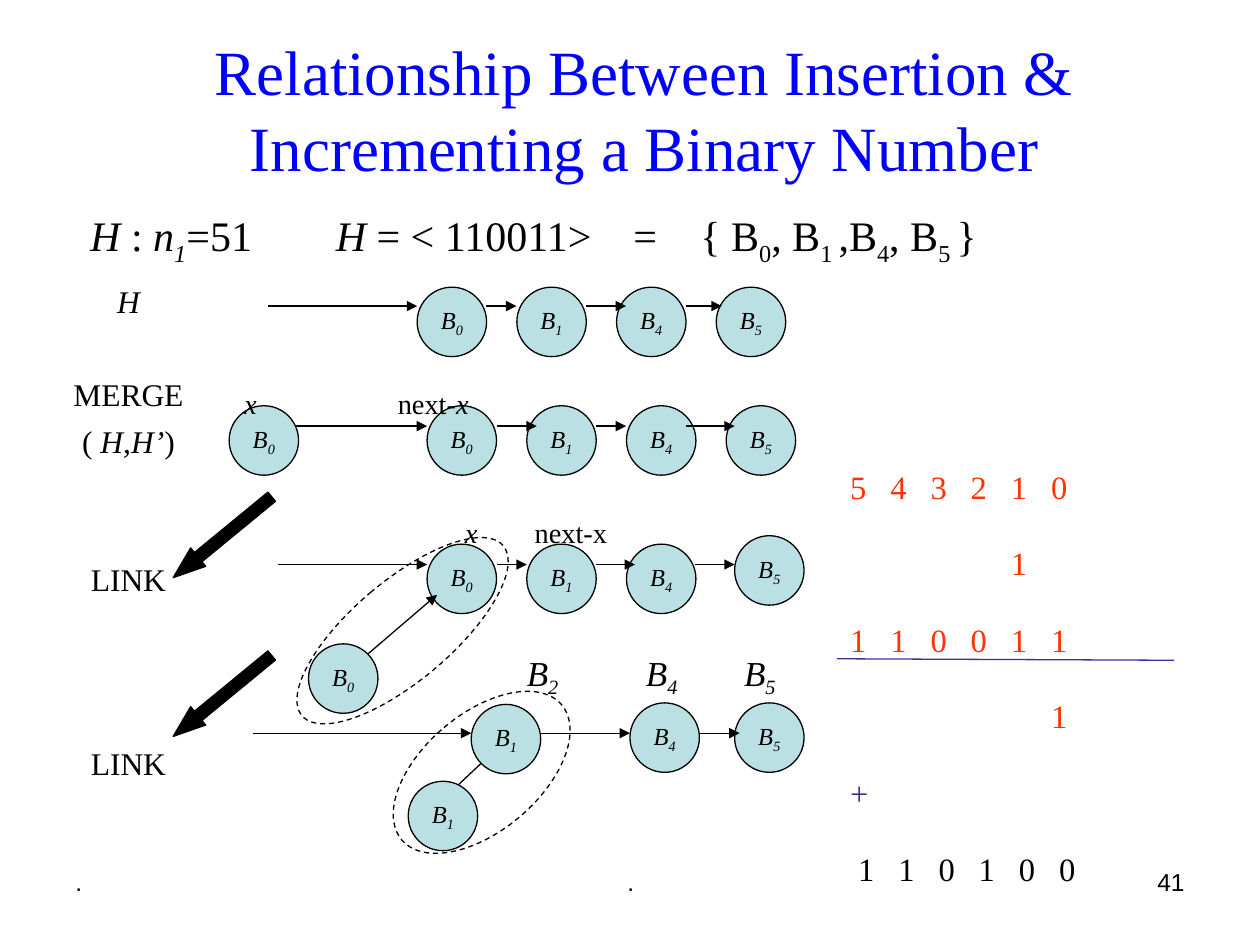
from lxml.etree import SubElement
from pptx import Presentation
from pptx.dml.color import RGBColor
from pptx.enum.dml import MSO_LINE as Dash
from pptx.enum.shapes import MSO_CONNECTOR as Conn, MSO_SHAPE as Shape
from pptx.enum.text import MSO_ANCHOR as Anchor, PP_ALIGN as Align
from pptx.oxml.ns import qn
from pptx.util import Cm, Pt

BLACK = RGBColor(0x00, 0x00, 0x00)
BLUE = RGBColor(0x00, 0x00, 0xFF)
RED = RGBColor(0xFF, 0x33, 0x00)
NAVY = RGBColor(0x33, 0x33, 0x99)
TEAL = RGBColor(0xBB, 0xE0, 0xE3)
SERIF, SANS = "Times New Roman", "Arial"
NODE = 1.4
STEP = 0.81

deck = Presentation()
deck.slide_width, deck.slide_height = Cm(25.4), Cm(19.05)
slide = deck.slides.add_slide(deck.slide_layouts[6])
shapes = slide.shapes


def write(para, runs, size, color=BLACK, face=SERIF, tabs=()):
    """Add (text, marks) runs; mark i is italic, mark s is subscript."""
    if tabs:
        stops = SubElement(para._p.get_or_add_pPr(), qn("a:tabLst"))
        for stop in tabs:
            SubElement(stops, qn("a:tab"), pos=str(Cm(stop)), algn="l")
    for text, marks in runs:
        run = para.add_run()
        run.text = text
        look = {"name": face, "size": Pt(size), "italic": "i" in marks}
        for key, value in look.items():
            setattr(run.font, key, value)
        run.font.color.rgb = color
        if "s" in marks:
            run._r.get_or_add_rPr().set("baseline", "-25000")


def link(x1, y1, x2, y2, color=BLACK, head=True):
    line = shapes.add_connector(Conn.STRAIGHT, Cm(x1), Cm(y1), Cm(x2), Cm(y2))
    line.line.color.rgb = color
    line.line.width = Pt(0.75)
    if head:
        SubElement(line.line._get_or_add_ln(), qn("a:tailEnd"), type="triangle")
    SubElement(line._element.spPr, qn("a:effectLst"))


# Lines that run behind the nodes
link(9.07, 15.98, 9.91, 15.19, head=False)
link(5.61, 8.59, 8.61, 8.59)

# Tree nodes: left, top, order of the binomial tree
nodes = [(left + 2.01 * i, top, order)
         for left, top in ((8.41, 5.79), (8.61, 8.18), (8.61, 10.97))
         for i, order in enumerate("0145")
         if (top, order) != (10.97, "5")]
nodes += [(14.81, 10.8, "5"), (14.81, 14.17, "5"), (12.7, 14.17, "4"),
          (9.5, 14.2, "1"), (4.62, 8.18, "0"), (6.22, 12.98, "0"),
          (8.23, 15.75, "1")]
for left, top, order in nodes:
    node = shapes.add_shape(Shape.OVAL, Cm(left), Cm(top), Cm(NODE), Cm(NODE))
    node.shadow.inherit = False
    node.fill.solid()
    node.fill.fore_color.rgb = TEAL
    node.line.color.rgb = BLACK
    node.line.width = Pt(0.75)
    frame = node.text_frame
    frame.word_wrap = False
    frame.vertical_anchor = Anchor.MIDDLE
    frame.paragraphs[0].alignment = Align.CENTER
    write(frame.paragraphs[0], [("B", "i"), (order, "is")], 14)

# Root list arrows: height, then start and end of each
chains = [
    (6.17, [(5.41, 8.41), (9.8, 10.41), (11.81, 12.62), (13.82, 14.55)]),
    (8.59, [(10.01, 10.82), (12.01, 12.62), (13.82, 14.81)]),
    (11.38, [(5.61, 8.61), (10.01, 10.62), (12.01, 12.8), (14.02, 14.81)]),
    (14.78, [(5.11, 9.5), (10.9, 12.7), (14.1, 14.91)]),
]
for y, spans in chains:
    for start, end in spans:
        link(start, y, end, y)
link(7.42, 13.18, 8.81, 11.99)
link(16.87, 13.28, 23.67, 13.31, NAVY, head=False)

# One-line texts: place, alignment, runs, size, colour, font, tab stops
heap = [("H", "i"), (" : ", ""), ("n", "i"), ("1", "is"), ("=51\t", ""),
        ("H", "i"), (" = < 110011>\t=\t{ B", ""), ("0", "s"), (", B", ""),
        ("1 ", "s"), (",B", ""), ("4", "s"), (", B", ""), ("5 ", "s"), ("}", "")]
roots = [("\tB", "i"), ("2", "is"), ("\tB", "i"), ("4", "is"),
         ("\tB", "i"), ("5", "is")]
title = "Relationship Between Insertion & Incrementing a Binary Number"
labels = [
    ((1.27, 17.35, 5.92, 1.32), Align.LEFT, [(".", "")], 14, BLACK, SANS, ()),
    ((8.69, 17.35, 8.05, 1.32), Align.CENTER, [(".", "")], 14, BLACK, SANS, ()),
    ((18.21, 17.35, 5.92, 1.32), Align.RIGHT, [("41", "")], 14, BLACK, SANS, ()),
    ((1.27, 0.53, 23.44, 3.3), Align.CENTER, [(title, "")], 36, BLUE, SERIF, ()),
    ((1.57, 3.91, 21, 1.8), Align.LEFT, heap, 24, BLACK, SERIF,
     (4.95, 10.95, 12.3)),
    ((10.01, 13, 6.35, 1.22), Align.LEFT, roots, 20, BLACK, SERIF,
     (0.36, 2.76, 4.74)),
    ((8.71, 9.6, 4.06, 1.6), Align.LEFT, [("\tx", "is"), ("\tnext-x", "s")],
     28, BLACK, SERIF, (0.41, 1.82)),
    ((3.81, 6.99, 13.23, 1.6), Align.LEFT,
     [("\tx", "is"), ("\tnext-", "s"), ("x", "is")], 28, BLACK, SERIF,
     (0.86, 3.96)),
]
for place, align, runs, size, color, face, tabs in labels:
    frame = shapes.add_textbox(*map(Cm, place)).text_frame
    frame.word_wrap = True
    if runs is heap:
        frame.vertical_anchor = Anchor.MIDDLE
    para = frame.paragraphs[0]
    para.alignment = align
    write(para, runs, size, color, face, tabs)

# Step names: space before, runs
steps = [(0, [("H", "i")]), (31.4, [("MERGE", "")]),
         (5.4, [("( ", ""), ("H,H’", "i"), (")", "")]),
         (57.5, [("LINK", "")]), (83.6, [("LINK", "")])]
frame = shapes.add_textbox(Cm(0.99), Cm(5.56), Cm(3.2), Cm(11.33)).text_frame
frame.word_wrap = True
for i, (gap, runs) in enumerate(steps):
    para = frame.add_paragraph() if i else frame.paragraphs[0]
    para.alignment = Align.CENTER
    para.space_before = Pt(gap)
    write(para, runs, 18)

# Binary addition, one tab stop for each digit
cols = [STEP * i for i in range(1, 6)]
shift = [0.16 + STEP * i for i in range(6)]
sums = [("5\t4\t3\t2\t1\t0", RED, cols), ("\t\t\t\t1", RED, cols),
        ("1\t1\t0\t0\t1\t1", RED, cols), ("\t\t\t\t\t1", RED, cols),
        ("+", NAVY, ()), ("\t1\t1\t0\t1\t0\t0", BLACK, shift)]
frame = shapes.add_textbox(Cm(16.89), Cm(8.53), Cm(7.49), Cm(9.53)).text_frame
frame.word_wrap = True
for i, (digits, color, tabs) in enumerate(sums):
    para = frame.add_paragraph() if i else frame.paragraphs[0]
    write(para, [(digits, "s")], 32, color, tabs=tabs)

# Block arrows between steps
for top in (10.59, 13.79):
    arrow = shapes.add_shape(Shape.LEFT_ARROW, Cm(3.2), Cm(top), Cm(2.57), Cm(0.48))
    arrow.adjustments[0], arrow.adjustments[1] = 0.5, 1.36
    arrow.rotation = 320.6
    arrow.shadow.inherit = False
    arrow.fill.solid()
    arrow.fill.fore_color.rgb = BLACK
    arrow.line.color.rgb = BLACK
    arrow.line.width = Pt(0.75)

# Dashed rings around linked trees
for place in ((7.11, 10.06, 2.01, 5.31), (8.53, 13.46, 2.36, 4.22)):
    ring = shapes.add_shape(Shape.OVAL, *map(Cm, place))
    ring.rotation = 49.8
    ring.shadow.inherit = False
    ring.fill.background()
    ring.line.color.rgb = BLACK
    ring.line.width = Pt(0.75)
    ring.line.dash_style = Dash.DASH

deck.save("out.pptx")
